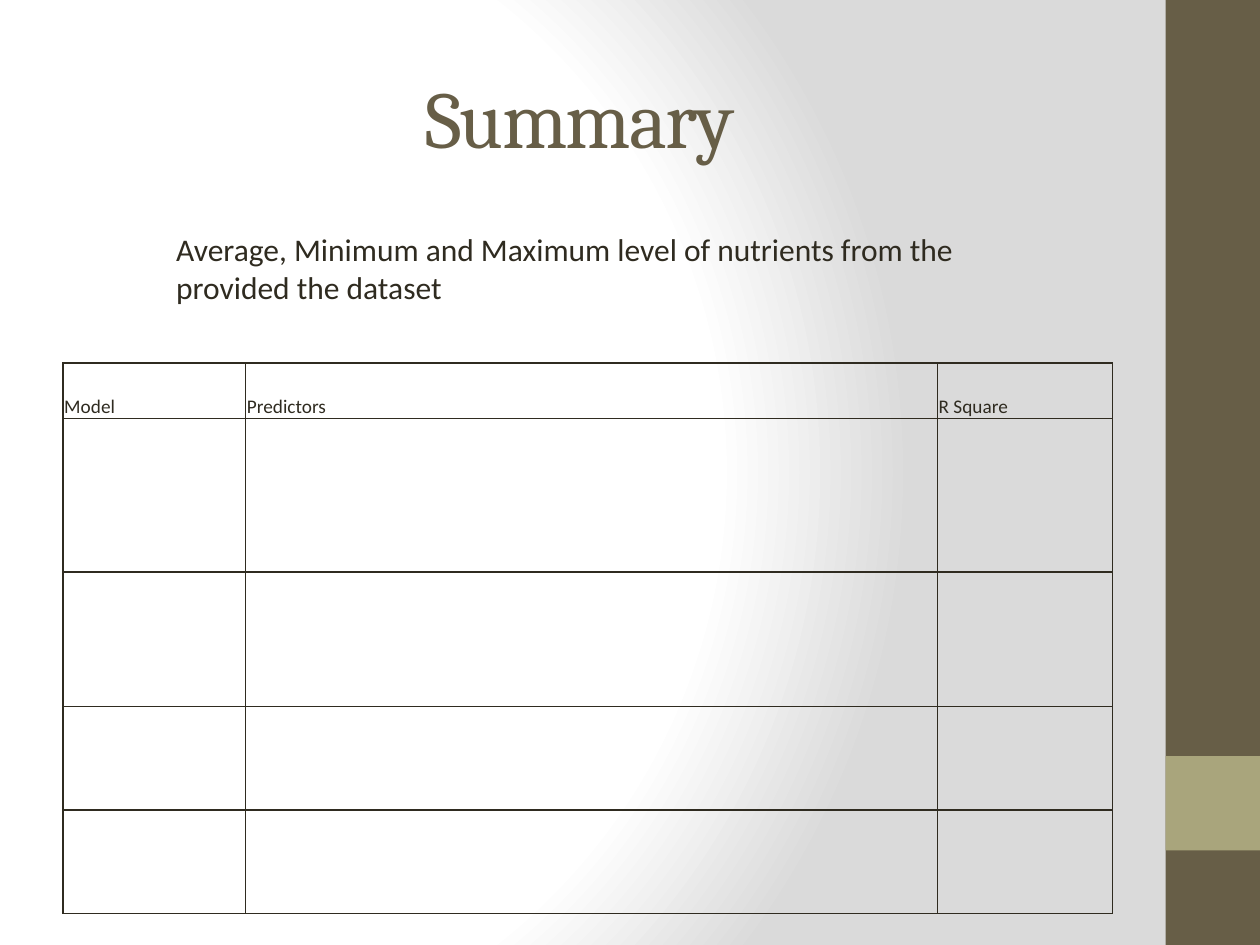
from typing import NamedTuple

from pptx import Presentation
from pptx.dml.color import RGBColor as Rgb
from pptx.enum.shapes import MSO_SHAPE as Kind
from pptx.enum.text import MSO_ANCHOR as Anchor, PP_ALIGN as Align
from pptx.oxml import parse_xml
from pptx.oxml.ns import nsdecls, qn
from pptx.util import Inches, Pt

WIDE, HIGH = 10, 7.5
INK, BROWN, SAGE = "2F2B20", "675E47", "A9A57C"


class Box(NamedTuple):
    """A place on the slide, in shares of its width and height."""
    left: float
    top: float
    wide: float
    high: float

    def place(self) -> list:
        return [Inches(share * size)
                for share, size in zip(self, (WIDE, HIGH, WIDE, HIGH))]


class Band(NamedTuple):
    box: Box
    color: str


class Label(NamedTuple):
    box: Box
    text: str
    size: float
    face: str
    color: str
    align: Align = Align.LEFT
    anchor: Anchor = Anchor.TOP
    gap: int = 0  # letter spacing, hundredths of a point


BANDS = [
    Band(Box(0.925, 0, 0.075, 1), BROWN),
    Band(Box(0.925, 0.8, 0.075, 0.1), SAGE),
]
LABELS = [
    Label(Box(0.05, 0.04, 0.833, 1 / 6), "Summary ", 46, "Cambria", BROWN,
          Align.CENTER, Anchor.MIDDLE, -100),
    Label(Box(0.13, 0.237, 0.671, 0.095),
          "Average, Minimum and Maximum level of nutrients from the "
          "provided the dataset", 18, "Calibri", INK),
]
GRID = Box(0.05, 0.384, 0.833, 0.582)
HEADS = ["Model", "Predictors", "R Square"]
COLS = [1.45, 5.49, 1.39]
ROWS = [0.44, 1.22, 1.07, 0.82, 0.82]
STOPS = [(0, "FFFFFF"), (75, "FFFFFF"), (100, "DADADA")]


def paint(color: str) -> Rgb:
    return Rgb.from_string(color)


def style(para, size: float, face: str, color: str) -> None:
    font = para.font
    font.size, font.name = Pt(size), face
    font.color.rgb = paint(color)


def draw_back(slide) -> None:
    """Fill the background with a circular gradient."""
    slide.background.fill.solid()
    stops = "".join(f'<a:gs pos="{pos * 1000}"><a:srgbClr val="{color}"/></a:gs>'
                    for pos, color in STOPS)
    grad = parse_xml(
        f'<a:gradFill {nsdecls("a")} rotWithShape="1"><a:gsLst>{stops}</a:gsLst>'
        '<a:path path="circle"><a:fillToRect l="20000" t="50000" r="100000" '
        'b="50000"/></a:path></a:gradFill>')
    props = slide.element.find(".//" + qn("p:bgPr"))
    props.replace(props[0], grad)


def draw_band(slide, band: Band) -> None:
    shape = slide.shapes.add_shape(Kind.RECTANGLE, *band.box.place())
    shape.shadow.inherit = False
    shape.fill.solid()
    shape.fill.fore_color.rgb = paint(band.color)
    shape.line.fill.background()


def draw_label(slide, label: Label) -> None:
    frame = slide.shapes.add_textbox(*label.box.place()).text_frame
    frame.word_wrap = True
    frame.vertical_anchor = label.anchor
    para = frame.paragraphs[0]
    para.alignment = label.align
    run = para.add_run()
    run.text = label.text
    style(para, label.size, label.face, label.color)
    if label.gap:
        run.font.size = Pt(label.size)
        run.font._element.set("spc", str(label.gap))


def rule_cell(cell) -> None:
    """Give a cell thin lines on all sides and no fill."""
    props = cell._tc.get_or_add_tcPr()
    for side in "LRTB":
        props.append(parse_xml(
            f'<a:ln{side} {nsdecls("a")} w="{Pt(1)}"><a:solidFill>'
            f'<a:srgbClr val="{INK}"/></a:solidFill></a:ln{side}>'))
    cell.fill.background()


def draw_grid(slide) -> None:
    table = slide.shapes.add_table(len(ROWS), len(COLS), *GRID.place()).table
    table.first_row = table.horz_banding = False
    for col, wide in zip(table.columns, COLS):
        col.width = Inches(wide)
    for row, high in zip(table.rows, ROWS):
        row.height = Inches(high)
    for cell in table.iter_cells():
        rule_cell(cell)
    for cell, head in zip(table.rows[0].cells, HEADS):
        cell.text = head
        cell.vertical_anchor = Anchor.BOTTOM
        cell.margin_left = cell.margin_right = cell.margin_top = Inches(0.01)
        cell.margin_bottom = 0
        style(cell.text_frame.paragraphs[0], 11, "Calibri", INK)


def main() -> None:
    deck = Presentation()
    deck.slide_width, deck.slide_height = Inches(WIDE), Inches(HIGH)
    slide = deck.slides.add_slide(deck.slide_layouts[6])
    draw_back(slide)
    # Side strip
    for band in BANDS:
        draw_band(slide, band)
    # Title and lead text
    for label in LABELS:
        draw_label(slide, label)
    # Model table
    draw_grid(slide)
    deck.save("out.pptx")


if __name__ == "__main__":
    main()
